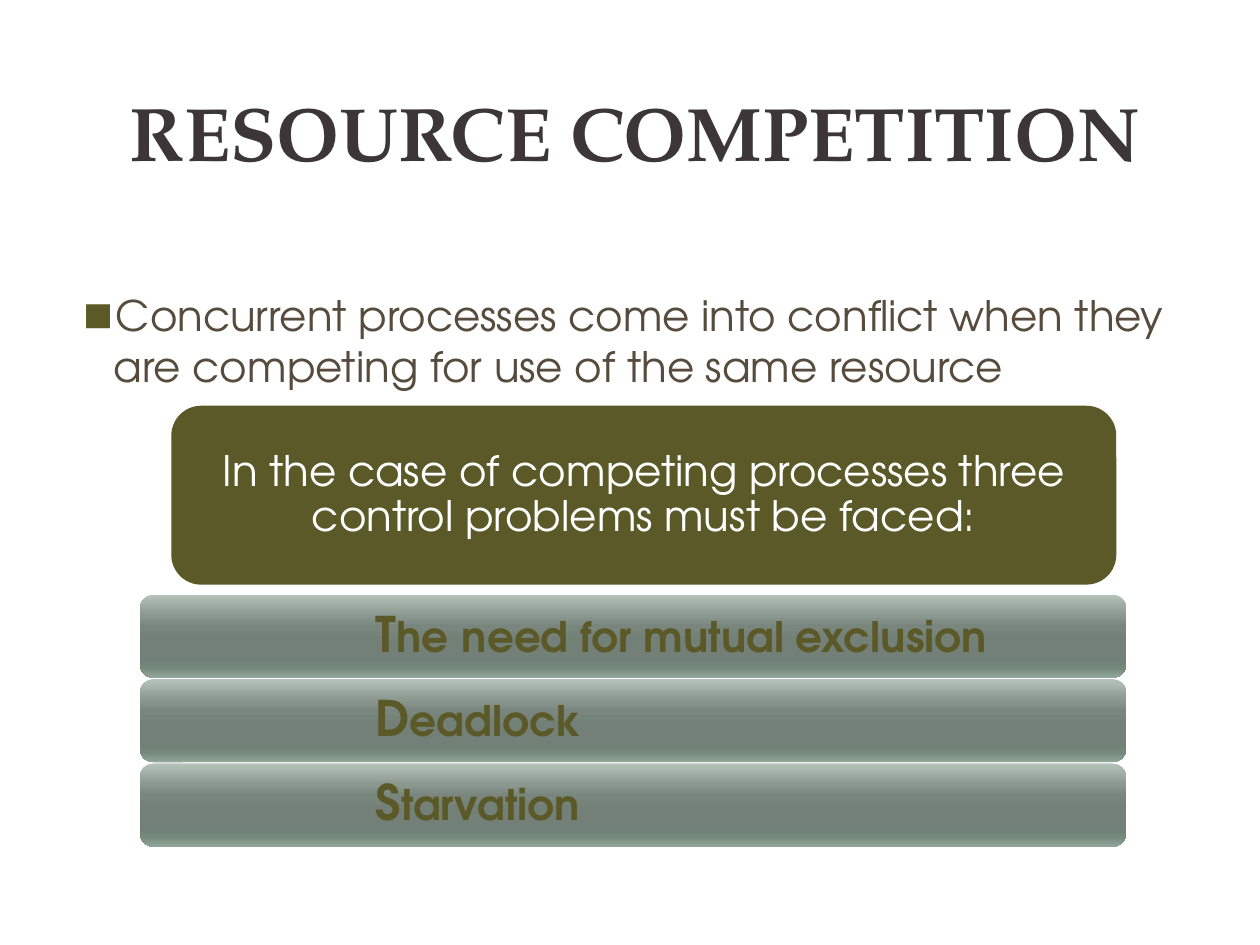
from lxml import etree
from pptx import Presentation, util as u
from pptx.dml.color import RGBColor
from pptx.enum import shapes, text
from pptx.oxml import ns

# Content
TITLE = "RESOURCE COMPETITION"
INTRO = ("Concurrent processes come into conflict when they are "
         "competing for use of the same resource")
LEAD = "In the case of competing processes three control problems must be faced:"
# Each problem is a list of (text, size) runs
PROBLEMS = [
    [("T", 28), ("he", 24), (" ", 28), ("need for mutual exclusion", 24)],
    [("D", 28), ("eadlock", 24)],
    [("S", 28), ("tarvation", 24)],
]

# Style
HEAD_FONT, BODY_FONT = "TeX Gyre Pagella", "TeX Gyre Adventor"
COLORS = {"title": "3C3638", "body": "564B3C", "olive": "5C5928", "white": "FFFFFF"}
BAR_STOPS = [(0, "B6C3BB"), (25, "8B9890"), (38, "79867E"), (55, "728078"),
             (80, "708176"), (88, "75887C"), (100, "91A79A")]
CENTER, LEFT = text.PP_ALIGN.CENTER, text.PP_ALIGN.LEFT
MIDDLE, TOP = text.MSO_ANCHOR.MIDDLE, text.MSO_ANCHOR.TOP

# Layout in inches
BAR_LEFT, BAR_TOP, BAR_WIDTH, BAR_HEIGHT, BAR_PITCH = 1.11, 4.72, 7.83, 0.66, 0.67


def place(s, left, top, width, height):
    s.left, s.top, s.width, s.height = map(u.Inches, (left, top, width, height))


def write(s, runs, color, font=BODY_FONT, bold=False, align=LEFT, anchor=MIDDLE,
          spacing=1.0, left=0.1):
    tf = s.text_frame
    tf.word_wrap, tf.auto_size = True, text.MSO_AUTO_SIZE.NONE
    tf.vertical_anchor, tf.margin_left = anchor, u.Inches(left)
    p = tf.paragraphs[0]
    p.alignment, p.line_spacing, p.space_before = align, spacing, u.Pt(0)
    for words, size in runs:
        r = p.add_run()
        r.text = words
        r.font.name, r.font.size, r.font.bold = font, u.Pt(size), bold
        r.font.color.rgb = RGBColor.from_string(COLORS[color])
    return p


def add_child(parent, tag, **attrs):
    return etree.SubElement(parent, ns.qn(tag), attrs)


def add_box(slide, left, top, width, height):
    s = slide.shapes.add_shape(shapes.MSO_SHAPE.ROUNDED_RECTANGLE,
                               *map(u.Inches, (left, top, width, height)))
    s.shadow.inherit = False
    s.line.fill.background()
    return s


def fill_gradient(s, stops):
    s.fill.gradient()
    s.fill.gradient_angle = 270  # counter-clockwise, so top to bottom
    stop_list = s.fill._fill._gradFill.find(ns.qn("a:gsLst"))
    for old in list(stop_list):
        stop_list.remove(old)
    for share, color in stops:
        stop = add_child(stop_list, "a:gs", pos=str(share * 1000))
        add_child(stop, "a:srgbClr", val=color)


def set_bullet(p, char, color, percent, indent, hanging):
    pPr = p._p.get_or_add_pPr()
    pPr.set("marL", str(u.Inches(indent)))
    pPr.set("indent", str(-u.Inches(hanging)))
    add_child(add_child(pPr, "a:buClr"), "a:srgbClr", val=COLORS[color])
    add_child(pPr, "a:buSzPct", val=str(percent * 1000))
    add_child(pPr, "a:buFont", typeface=BODY_FONT)
    add_child(pPr, "a:buChar", char=char)


def main():
    prs = Presentation()
    prs.slide_width, prs.slide_height = u.Inches(10), u.Inches(7.5)
    slide = prs.slides.add_slide(prs.slide_layouts[1])

    # Title and introduction
    title, body = slide.placeholders
    place(title, 0.83, 0.5, 8.42, 1.08)
    write(title, [(TITLE, 43.2)], "title", font=HEAD_FONT, bold=True, align=CENTER)
    place(body, 0.42, 2.25, 9.17, 2)
    p = write(body, [(INTRO, 24)], "body", anchor=TOP)
    set_bullet(p, "▪", "olive", 150, 0.38, 0.25)

    # Lead box
    lead = add_box(slide, 1.36, 3.22, 7.5, 1.42)
    lead.fill.solid()
    lead.fill.fore_color.rgb = RGBColor.from_string(COLORS["olive"])
    write(lead, [(LEAD, 24)], "white", align=CENTER, spacing=0.9)

    # Problem bars
    for i, runs in enumerate(PROBLEMS):
        bar = add_box(slide, BAR_LEFT, BAR_TOP + i * BAR_PITCH, BAR_WIDTH, BAR_HEIGHT)
        fill_gradient(bar, BAR_STOPS)
        write(bar, runs, "olive", bold=True, spacing=0.9, left=1.84)

    prs.save("out.pptx")


if __name__ == "__main__":
    main()
